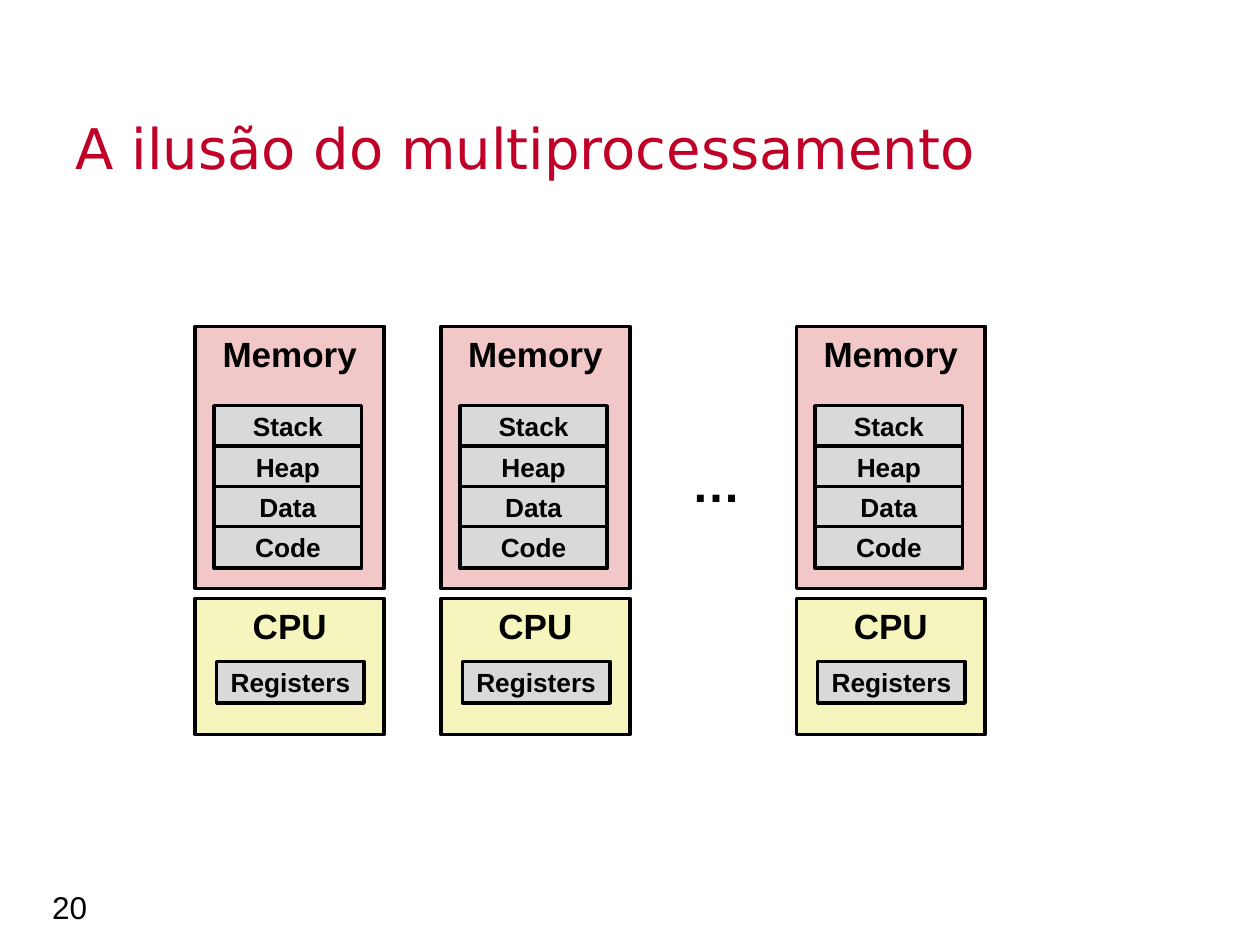
from dataclasses import dataclass

from pptx import Presentation
from pptx.dml.color import RGBColor
from pptx.enum.shapes import MSO_SHAPE
from pptx.enum.text import MSO_ANCHOR, MSO_AUTO_SIZE, PP_ALIGN
from pptx.util import Inches, Pt

RECT = MSO_SHAPE.RECTANGLE
TOP, MIDDLE = MSO_ANCHOR.TOP, MSO_ANCHOR.MIDDLE
LEFT, CENTER, RIGHT = PP_ALIGN.LEFT, PP_ALIGN.CENTER, PP_ALIGN.RIGHT
FIXED = MSO_AUTO_SIZE.NONE
TITLE_ONLY = 5
COLS, ROWS = 100, 75


@dataclass(frozen=True)
class Theme:
    font: str = "Arial"
    head_font: str = "DejaVu Sans"
    ink: str = "000000"
    red: str = "C00026"
    pink: str = "F1C7C7"
    yellow: str = "F6F5BD"
    gray: str = "D9D9D9"
    head: int = 32
    dots: int = 28
    label: int = 20
    page: int = 18
    small: int = 15
    line: int = 2


def write(shape, text, *, font, size, color, bold=False,
          align=LEFT, anchor=TOP, wrap=True):
    frame = shape.text_frame
    frame.auto_size = FIXED
    frame.word_wrap = wrap
    frame.vertical_anchor = anchor
    para = frame.paragraphs[0]
    para.alignment = align
    run = para.add_run()
    run.text = text
    run.font.name = font
    run.font.size = Pt(size)
    run.font.bold = bold
    run.font.color.rgb = RGBColor.from_string(color)


class Deck:
    """Places elements on a grid of COLS by ROWS cells."""

    def __init__(self, theme):
        self.theme = theme
        self.prs = Presentation()
        self.prs.slide_width = Inches(10)
        self.prs.slide_height = Inches(7.5)
        layout = self.prs.slide_layouts[TITLE_ONLY]
        self.slide = self.prs.slides.add_slide(layout)

    def area(self, col, row, wide, high):
        across = self.prs.slide_width / COLS
        down = self.prs.slide_height / ROWS
        return (round(col * across), round(row * down),
                round(wide * across), round(high * down))

    def title(self, text, *cells):
        shape = self.slide.shapes.title
        shape.left, shape.top, shape.width, shape.height = self.area(*cells)
        write(shape, text, font=self.theme.head_font,
              size=self.theme.head, color=self.theme.red)

    def note(self, text, *cells, **style):
        shape = self.slide.shapes.add_textbox(*self.area(*cells))
        write(shape, text, font=self.theme.font,
              color=self.theme.ink, **style)

    def box(self, text, *cells, fill, size, anchor=TOP):
        shape = self.slide.shapes.add_shape(RECT, *self.area(*cells))
        shape.shadow.inherit = False
        shape.fill.solid()
        shape.fill.fore_color.rgb = RGBColor.from_string(fill)
        shape.line.color.rgb = RGBColor.from_string(self.theme.ink)
        shape.line.width = Pt(self.theme.line)
        write(shape, text, font=self.theme.font, size=size, bold=True,
              color=self.theme.ink, align=CENTER, anchor=anchor)

    def slot(self, text, col, row):
        self.box(text, col, row, 11.7, 3.3, fill=self.theme.gray,
                 size=self.theme.small, anchor=MIDDLE)

    def process(self, col):
        """Draws one CPU with the memory above it."""
        look = self.theme
        self.box("CPU", col, 47.5, 15, 10.8,
                 fill=look.yellow, size=look.label)
        self.slot("Registers", col + 1.7, 52.5)
        self.box("Memory", col, 25.9, 15, 20.8,
                 fill=look.pink, size=look.label)
        for step, name in enumerate(("Stack", "Heap", "Data", "Code")):
            self.slot(name, col + 1.5, 32.2 + 3.2 * step)


def main():
    look = Theme()
    deck = Deck(look)
    deck.title("A ilusão do multiprocessamento", 5, 8.5, 90, 6.8)
    deck.note("20", 0.9, 70, 7, 4, size=look.page,
              align=RIGHT, anchor=MIDDLE)
    for col in (15.5, 35, 63.2):
        deck.process(col)
    deck.note("…", 53.9, 35.5, 5.9, 5.6, size=look.dots,
              bold=True, wrap=False)
    deck.prs.save("out.pptx")


if __name__ == "__main__":
    main()
